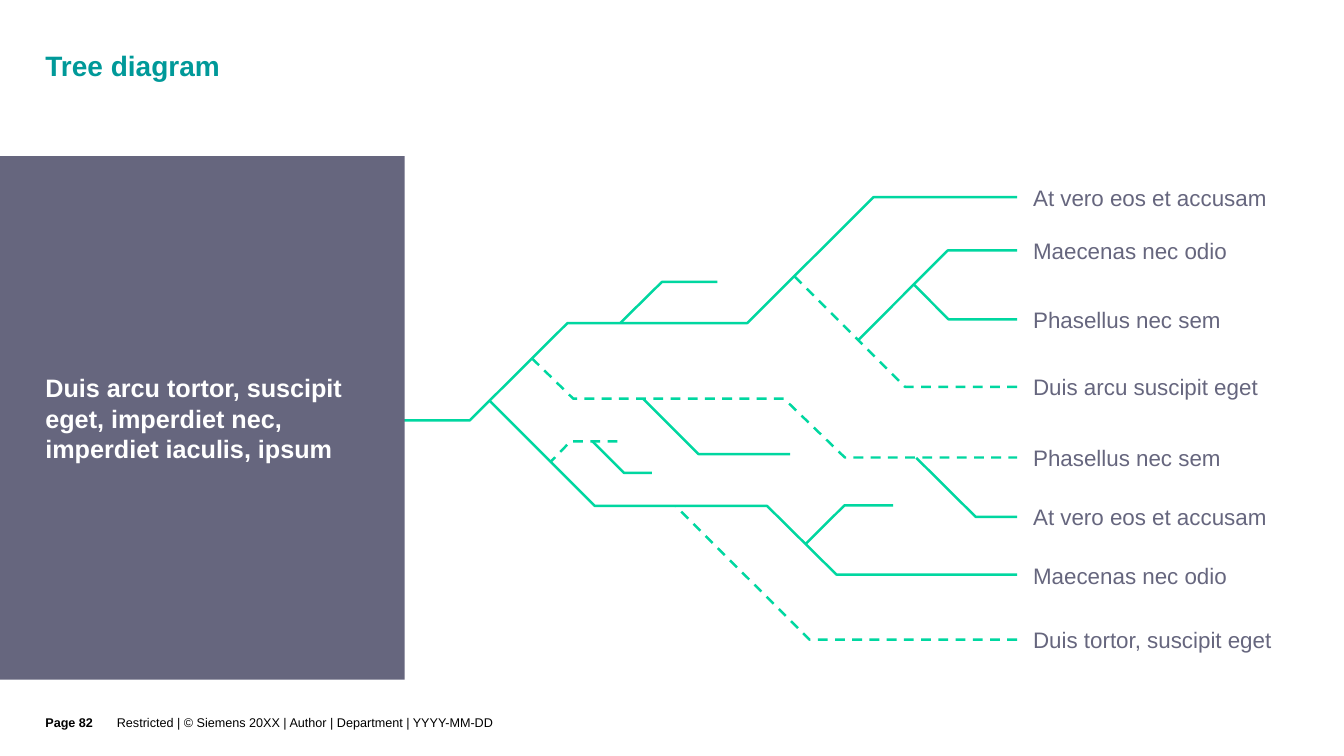
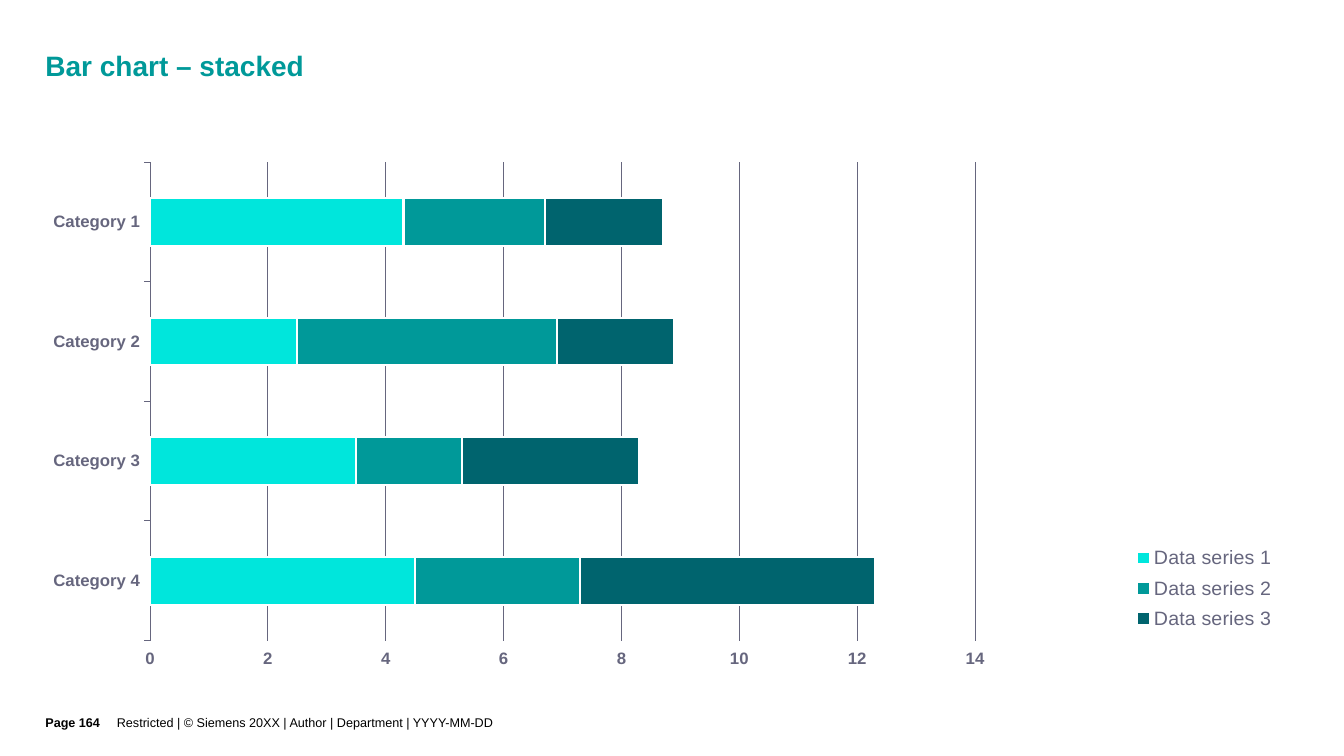
from pptx import Presentation
from pptx.chart.data import CategoryChartData
from pptx.dml.color import RGBColor
from pptx.enum.chart import XL_CHART_TYPE, XL_LEGEND_POSITION, XL_TICK_LABEL_POSITION, XL_TICK_MARK
from pptx.enum.dml import MSO_LINE
from pptx.enum.shapes import MSO_SHAPE
from pptx.enum.text import MSO_ANCHOR, PP_ALIGN
from pptx.oxml import parse_xml
from pptx.oxml.ns import nsdecls, qn
from pptx.util import Pt

BAR_STACKED = XL_CHART_TYPE.BAR_STACKED
LEGEND_RIGHT = XL_LEGEND_POSITION.RIGHT
LABELS_HIGH = XL_TICK_LABEL_POSITION.HIGH
TICK_OUT = XL_TICK_MARK.OUTSIDE
DASH = MSO_LINE.DASH
RECT = MSO_SHAPE.RECTANGLE
TOP, MIDDLE = MSO_ANCHOR.TOP, MSO_ANCHOR.MIDDLE
LEFT = PP_ALIGN.LEFT

FONT = "Arial"
COLORS = {
    name: RGBColor.from_string(value)
    for name, value in {
        "title": "009999",
        "gray": "66667E",
        "branch": "00D7A0",
        "aqua": "00E6DC",
        "petrol": "009999",
        "deep": "00646E",
        "white": "FFFFFF",
        "black": "000000",
    }.items()
}
MARGIN = 32.4
BODY_TOP = 111.6
CHART_WIDTH, CHART_HEIGHT = 895.6, 373.7
FOOTER = "Restricted | © Siemens 20XX | Author | Department | YYYY-MM-DD"


def write(sp, text, size, color, bold=False, anchor=MIDDLE, insets=(0, 0, 0, 0), spacing=None):
    tf = sp.text_frame
    tf.word_wrap = True
    tf.vertical_anchor = anchor
    tf.margin_left, tf.margin_top, tf.margin_right, tf.margin_bottom = map(Pt, insets)
    p = tf.paragraphs[0]
    p.alignment = LEFT
    if spacing:
        p.line_spacing = spacing
    r = p.add_run()
    r.text = text
    r.font.name = FONT
    r.font.size = Pt(size)
    r.font.bold = bold
    r.font.color.rgb = COLORS[color]


def place(parent, index, box, inner=False):
    for old in parent.findall(qn("c:layout")):
        parent.remove(old)
    target = '<c:layoutTarget val="inner"/>' if inner else ""
    modes = "".join(f'<c:{side}Mode val="edge"/>' for side in "xy")
    sizes = "".join(
        f'<c:{side} val="{length / total}"/>'
        for side, length, total in zip("xywh", box, (CHART_WIDTH, CHART_HEIGHT) * 2))
    parent.insert(index, parse_xml(
        f'<c:layout {nsdecls("c")}><c:manualLayout>{target}{modes}{sizes}'
        "</c:manualLayout></c:layout>"))


prs = Presentation()
prs.slide_width, prs.slide_height = Pt(960), Pt(540)

slides = []
for title, page in [("Tree diagram", 82), ("Bar chart – stacked", 164)]:
    s = prs.slides.add_slide(prs.slide_layouts[6])
    slides.append(s)
    sp = s.shapes.add_textbox(Pt(MARGIN), Pt(37.4), Pt(777), Pt(45.4))
    write(sp, title, 20, "title", True, TOP, (0, 0, 25, 1.4), 0.9)
    for left, width, text, bold in [(83.5, 726, FOOTER, False), (MARGIN, 51.1, f"Page {page}", True)]:
        sp = s.shapes.add_textbox(Pt(left), Pt(497), Pt(width), Pt(43))
        write(sp, text, 9, "black", bold, insets=(0, 0, 0, 5))

tree, bars = slides

TIP = 726.5
SOLID_BRANCHES = [
    [(276, 300.3), (335.5, 300.3), (405.3, 230.8), (533.7, 230.8), (624, 140.8), (TIP, 140.8)],
    [(443, 230.8), (472.8, 201.4), (512.5, 201.4)],
    [(652.5, 203), (677.5, 228.1), (TIP, 228.1)],
    [(613, 243), (677, 178.9), (TIP, 178.9)],
    [(654.5, 327), (697, 369.2), (TIP, 369.2)],
    [(575.3, 388.7), (603.3, 360.9), (638, 360.9)],
    [(459.5, 285), (499, 324.4), (564.5, 324.4)],
    [(423.3, 315.3), (445.7, 337.8), (465.7, 337.8)],
    [(350, 286.5), (425, 361.4), (548, 361.4), (597.5, 410.4), (TIP, 410.4)],
]
DASHED_BRANCHES = [
    [(441, 315.3), (407.5, 315.3), (393, 330.2)],
    [(380, 256), (409.5, 284.8), (560, 284.8), (603.5, 326.8), (TIP, 326.8)],
    [(TIP, 276.3), (646.5, 276.3), (567.5, 197.4)],
    [(TIP, 456.9), (578.3, 456.9), (482.5, 361.4)],
]
for branches, dash in [(SOLID_BRANCHES, None), (DASHED_BRANCHES, DASH)]:
    for start, *rest in branches:
        outline = tree.shapes.build_freeform(Pt(start[0]), Pt(start[1]))
        outline.add_line_segments([(Pt(x), Pt(y)) for x, y in rest], close=False)
        sp = outline.convert_to_shape()
        sp.shadow.inherit = False
        sp.fill.background()
        sp.line.color.rgb = COLORS["branch"]
        sp.line.width = Pt(1.75)
        sp.line.dash_style = dash

panel = tree.shapes.add_shape(RECT, 0, Pt(BODY_TOP), Pt(289), Pt(373.8))
panel.shadow.inherit = False
panel.fill.solid()
panel.fill.fore_color.rgb = COLORS["gray"]
panel.line.fill.background()
write(panel, "Duis arcu tortor, suscipit eget, imperdiet nec, imperdiet iaculis, ipsum",
      18, "white", True, insets=(MARGIN, 17, 34, 17))

LABEL_HEIGHT = 31
for text, y in [
    ("At vero eos et accusam", 140.8),
    ("Maecenas nec odio", 178.9),
    ("Phasellus nec sem", 228.5),
    ("Duis arcu suscipit eget", 276.1),
    ("Phasellus nec sem", 327),
    ("At vero eos et accusam", 369),
    ("Maecenas nec odio", 411),
    ("Duis tortor, suscipit eget", 456.9),
]:
    sp = tree.shapes.add_textbox(Pt(TIP), Pt(y - LABEL_HEIGHT / 2), Pt(201.5), Pt(LABEL_HEIGHT))
    write(sp, text, 16, "gray", insets=(11.5, 5.8, 11.5, 5.8))

SERIES = [
    ("Data series 1", (4.3, 2.5, 3.5, 4.5), "aqua"),
    ("Data series 2", (2.4, 4.4, 1.8, 2.8), "petrol"),
    ("Data series 3", (2, 2, 3, 5), "deep"),
]
data = CategoryChartData()
data.categories = [f"Category {n}" for n in range(1, 5)]
for name, values, _ in SERIES:
    data.add_series(name, values)
chart = bars.shapes.add_chart(
    BAR_STACKED, Pt(MARGIN), Pt(BODY_TOP), Pt(CHART_WIDTH), Pt(CHART_HEIGHT), data).chart
chart.has_title = False
chart.font.name = FONT
chart.font.size = Pt(18)
chart.font.color.rgb = COLORS["black"]

plot = chart.plots[0]
plot.gap_width, plot.overlap = 150, 100
plot.vary_by_categories = False
for series, (_, _, color) in zip(plot.series, SERIES):
    series.format.fill.solid()
    series.format.fill.fore_color.rgb = COLORS[color]
    series.format.line.color.rgb = COLORS["white"]
    series.format.line.width = Pt(1.5)

cat_axis, val_axis = chart.category_axis, chart.value_axis
for axis in (cat_axis, val_axis):
    axis.major_tick_mark = TICK_OUT
    font = axis.tick_labels.font
    font.name = FONT
    font.size = Pt(12)
    font.bold = True
    font.color.rgb = COLORS["gray"]
cat_axis.reverse_order = True
val_axis.tick_label_position = LABELS_HIGH
val_axis.minimum_scale, val_axis.maximum_scale, val_axis.major_unit = 0, 14, 2
val_axis.has_major_gridlines = True
val_axis.format.line.fill.background()
for line in (cat_axis.format.line, val_axis.major_gridlines.format.line):
    line.color.rgb = COLORS["gray"]
    line.width = Pt(0.75)

chart.has_legend = True
legend = chart.legend
legend.position = LEGEND_RIGHT
legend.include_in_layout = False
legend.font.name = FONT
legend.font.size = Pt(14)
legend.font.color.rgb = COLORS["gray"]
place(chart.element.find(".//" + qn("c:plotArea")), 0, (74.8, 0, 589.3, 345.7), True)
place(chart.element.find(".//" + qn("c:legend")), 1, (770, 272, 116.4, 72))

prs.save("out.pptx")
